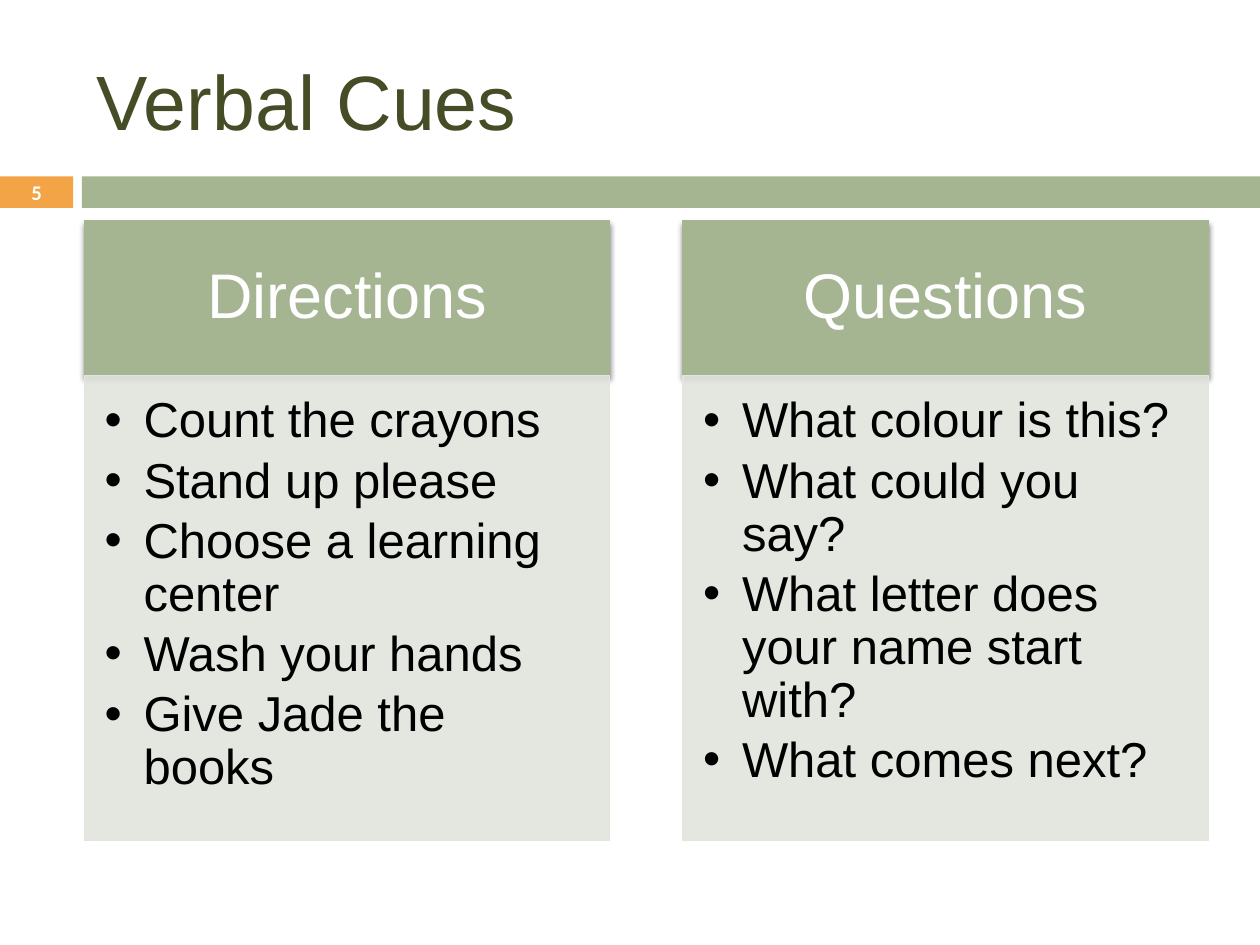
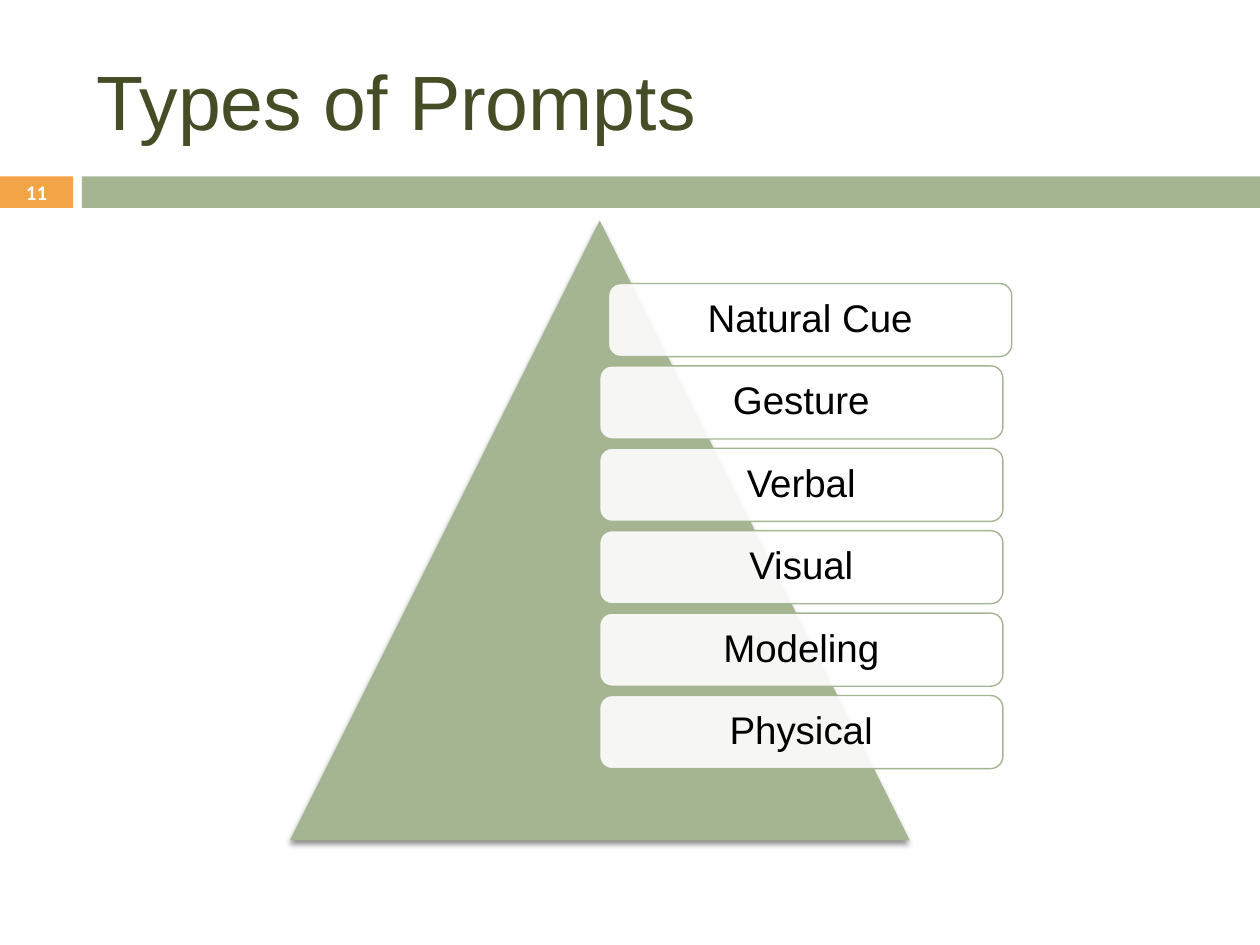
from dataclasses import dataclass

from lxml.etree import SubElement
from pptx import Presentation
from pptx.dml.color import RGBColor
from pptx.enum.shapes import MSO_SHAPE
from pptx.enum.text import MSO_ANCHOR, PP_ALIGN
from pptx.oxml.ns import qn
from pptx.shapes.autoshape import Shape
from pptx.slide import Slide
from pptx.util import Inches, Pt

SAGE = RGBColor(0xA5, 0xB5, 0x92)
PALE_SAGE = RGBColor(0xE1, 0xE5, 0xDC)
ORANGE = RGBColor(0xF3, 0xA4, 0x47)
OLIVE = RGBColor(0x44, 0x4D, 0x26)
WHITE = RGBColor(0xFF, 0xFF, 0xFF)
BLACK = RGBColor(0, 0, 0)

CONTENT_LEFT, CONTENT_TOP = 0.67, 1.75
COLUMN_WIDTH, COLUMN_PITCH = 4.17, 4.75
HEADER_HEIGHT, BODY_HEIGHT = 1.23, 3.69
PYRAMID_SIZE = 4.92
PROMPT_TOP, PROMPT_PITCH = 2.25, 0.654


@dataclass(frozen=True)
class Area:
    """A rectangle on the slide, in inches."""
    left: float
    top: float
    width: float
    height: float

    def lengths(self) -> list[Inches]:
        """Return the four measures as lengths."""
        return [Inches(value) for value in (self.left, self.top, self.width, self.height)]


@dataclass(frozen=True)
class TextStyle:
    """How the text of one kind of box looks."""
    size: float
    color: RGBColor
    font: str = "Arial"
    bold: bool = False
    align: PP_ALIGN = PP_ALIGN.CENTER
    anchor: MSO_ANCHOR = MSO_ANCHOR.MIDDLE
    insets: tuple[float, float, float, float] = (0.1, 0.05, 0.1, 0.05)
    line_spacing: float = 1.0
    space_after: float = 0
    bullet_indent: float = 0


@dataclass(frozen=True)
class CueColumn:
    """A headed list of verbal cues."""
    heading: str
    cues: tuple[str, ...]


@dataclass(frozen=True)
class Prompt:
    """A labelled card on the pyramid."""
    label: str
    left: float = 4.76


TITLE = TextStyle(44, OLIVE, align=PP_ALIGN.LEFT)
NUMBER = TextStyle(11.9, WHITE, "Calibri", True)
HEADING = TextStyle(36, WHITE, insets=(0.28, 0.16, 0.28, 0.16), line_spacing=0.9)
CUES = TextStyle(28, BLACK, align=PP_ALIGN.LEFT, anchor=MSO_ANCHOR.TOP,
                 insets=(0.16, 0.16, 0.22, 0.24), line_spacing=0.9,
                 space_after=4.2, bullet_indent=0.31)
PROMPT = TextStyle(22, BLACK, insets=(0.12, 0.12, 0.12, 0.12), line_spacing=0.9)

CUE_COLUMNS = (
    CueColumn("Directions", ("Count the crayons", "Stand up please", "Choose a learning center",
                             "Wash your hands", "Give Jade the books")),
    CueColumn("Questions", ("What colour is this?", "What could you say?",
                            "What letter does your name start with?", "What comes next?")),
)
PROMPTS = (Prompt("Natural Cue", 4.83), Prompt("Gesture"), Prompt("Verbal"),
           Prompt("Visual"), Prompt("Modeling"), Prompt("Physical"))


def write(box: Shape, lines: tuple[str, ...], style: TextStyle) -> None:
    """Fill a box with styled paragraphs."""
    frame = box.text_frame
    frame.word_wrap = True
    frame.vertical_anchor = style.anchor
    (frame.margin_left, frame.margin_top,
     frame.margin_right, frame.margin_bottom) = map(Inches, style.insets)
    frame.text = "\n".join(lines)
    for para in frame.paragraphs:
        if style.bullet_indent:
            properties = para._p.get_or_add_pPr()
            indent = Inches(style.bullet_indent)
            properties.set("marL", str(indent))
            properties.set("indent", str(-indent))
            SubElement(properties, qn("a:buFont"), typeface="Arial")
            SubElement(properties, qn("a:buChar"), char="•")
        para.alignment = style.align
        para.line_spacing = style.line_spacing
        para.space_after = Pt(style.space_after)
        for span in para.runs:
            span.font.name = style.font
            span.font.size = Pt(style.size)
            span.font.bold = style.bold
            span.font.color.rgb = style.color


def add_text(page: Slide, area: Area, text: str, style: TextStyle) -> None:
    """Add a one-paragraph text box."""
    write(page.shapes.add_textbox(*area.lengths()), (text,), style)


def add_block(page: Slide, kind: MSO_SHAPE, area: Area, fill: RGBColor,
              line: RGBColor | None = None, opacity: int = 100) -> Shape:
    """Add a flat filled shape, with an outline if a line colour is given."""
    block = page.shapes.add_shape(kind, *area.lengths())
    block.shadow.inherit = False
    block.fill.solid()
    block.fill.fore_color.rgb = fill
    if opacity < 100:
        color = next(block._element.spPr.iter(qn("a:srgbClr")))
        SubElement(color, qn("a:alpha"), val=str(opacity * 1000))
    if line is None:
        block.line.fill.background()
    else:
        block.line.color.rgb = line
        block.line.width = Pt(0.79)
    return block


def add_shadow(block: Shape) -> None:
    """Give a shape a soft shadow below it."""
    effects = block._element.spPr.find(qn("a:effectLst"))
    shadow = SubElement(effects, qn("a:outerShdw"), blurRad=str(Pt(3)), dist=str(Pt(2.4)),
                        dir=str(90 * 60000), rotWithShape="0")
    color = SubElement(shadow, qn("a:srgbClr"), val=str(BLACK))
    SubElement(color, qn("a:alpha"), val="45000")


def add_page(deck: Presentation, title: str, number: int) -> Slide:
    """Add a slide with its title, bands and number."""
    page = deck.slides.add_slide(deck.slide_layouts[6])
    add_block(page, MSO_SHAPE.RECTANGLE, Area(0, 1.4, 0.58, 0.25), ORANGE)
    add_block(page, MSO_SHAPE.RECTANGLE, Area(0.65, 1.4, 9.35, 0.25), SAGE)
    add_text(page, Area(CONTENT_LEFT, 0.25, 8.92, 1.08), title, TITLE)
    add_text(page, Area(0, 1.39, 0.58, 0.27), str(number), NUMBER)
    return page


def add_cue_column(page: Slide, column: CueColumn, left: float) -> None:
    """Add a heading block above its bulleted cues."""
    header = add_block(page, MSO_SHAPE.RECTANGLE,
                       Area(left, CONTENT_TOP, COLUMN_WIDTH, HEADER_HEIGHT), SAGE, SAGE)
    add_shadow(header)
    write(header, (column.heading,), HEADING)
    body = add_block(page, MSO_SHAPE.RECTANGLE,
                     Area(left, CONTENT_TOP + HEADER_HEIGHT, COLUMN_WIDTH, BODY_HEIGHT),
                     PALE_SAGE, PALE_SAGE, 90)
    write(body, column.cues, CUES)


def add_prompt(page: Slide, prompt: Prompt, top: float) -> Shape:
    """Add a rounded card with a prompt label."""
    card = add_block(page, MSO_SHAPE.ROUNDED_RECTANGLE,
                     Area(prompt.left, top, 3.2, 0.58), WHITE, SAGE, 90)
    write(card, (prompt.label,), PROMPT)
    return card


def set_last_letter_font(card: Shape, font: str) -> None:
    """Set the last letter of a card in another font."""
    para = card.text_frame.paragraphs[0]
    span = para.runs[0]
    letter = para.add_run()
    span.text, letter.text = span.text[:-1], span.text[-1]
    letter.font.name = font
    letter.font.size = span.font.size
    letter.font.color.rgb = span.font.color.rgb


def build_verbal_cues(deck: Presentation) -> None:
    """Build the slide with two columns of cues."""
    page = add_page(deck, "Verbal Cues", 5)
    for index, column in enumerate(CUE_COLUMNS):
        add_cue_column(page, column, CONTENT_LEFT + index * COLUMN_PITCH)


def build_prompt_types(deck: Presentation) -> None:
    """Build the slide with the pyramid of prompts."""
    page = add_page(deck, "Types of Prompts", 11)
    pyramid = add_block(page, MSO_SHAPE.ISOSCELES_TRIANGLE,
                        Area(2.3, CONTENT_TOP, PYRAMID_SIZE, PYRAMID_SIZE), SAGE)
    add_shadow(pyramid)
    cards = [add_prompt(page, prompt, PROMPT_TOP + index * PROMPT_PITCH)
             for index, prompt in enumerate(PROMPTS)]
    set_last_letter_font(cards[-1], "Calibri")


def main() -> None:
    """Build and save the deck."""
    deck = Presentation()
    deck.slide_width, deck.slide_height = Inches(10), Inches(7.5)
    build_verbal_cues(deck)
    build_prompt_types(deck)
    deck.save("out.pptx")


if __name__ == "__main__":
    main()
